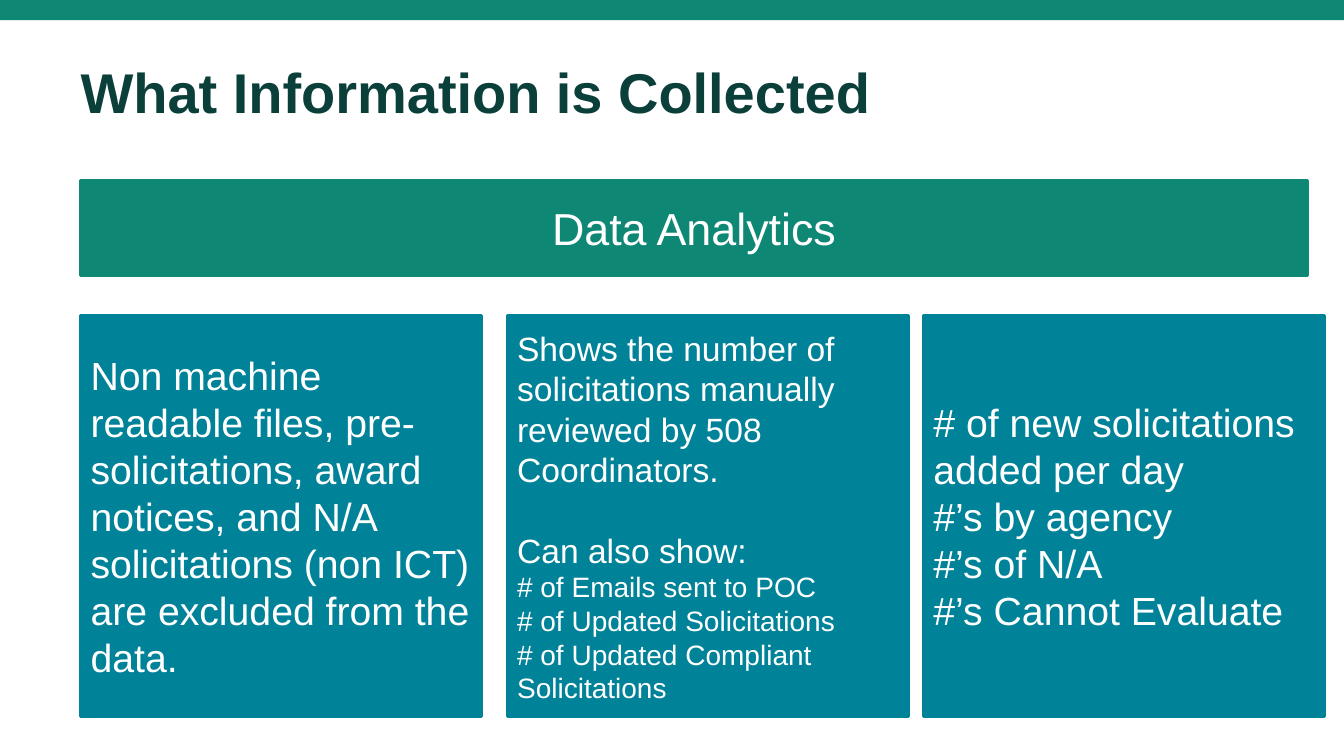
from dataclasses import dataclass

from pptx import Presentation
from pptx.dml.color import RGBColor
from pptx.enum.shapes import MSO_SHAPE
from pptx.enum.text import MSO_ANCHOR, PP_ALIGN
from pptx.util import Inches, Pt


@dataclass(frozen=True)
class Theme:
    font: str = "Arial"
    green: str = "0E8775"
    teal: str = "008299"
    dark: str = "0B3F3A"
    white: str = "FFFFFF"
    title: int = 40
    banner: int = 32
    body: int = 28
    detail: int = 24
    small: int = 20
    outline: int = 2


THEME = Theme()
WIDTH, HEIGHT = 13.33, 7.5
MARGIN = 0.8
CARD_SIDE = 3.98
CARD_LEFTS = (MARGIN, 5.03, 9.16)
SECTION_GAP = 29  # points, one line of detail text

# Each card is a list of (text, size, space before)
CARDS = (
    [("Non machine readable files, pre-solicitations, award notices, and N/A "
      "solicitations (non ICT) are excluded from the data.", THEME.body, 0)],
    [("Shows the number of solicitations manually reviewed by 508 Coordinators.",
      THEME.detail, 0),
     ("Can also show:", THEME.detail, SECTION_GAP),
     ("# of Emails sent to POC", THEME.small, 0),
     ("# of Updated Solicitations", THEME.small, 0),
     ("# of Updated Compliant Solicitations", THEME.small, 0)],
    [("# of new solicitations added per day", THEME.body, 0),
     ("#’s by agency", THEME.body, 0),
     ("#’s of N/A", THEME.body, 0),
     ("#’s Cannot Evaluate", THEME.body, 0)],
)


def apply_format(target, values):
    for name, value in values.items():
        setattr(target, name, value)


def write_lines(frame, lines, color, bold=False, **paragraph_format):
    for index, (text, size, before) in enumerate(lines):
        line = frame.add_paragraph() if index else frame.paragraphs[0]
        apply_format(line, {"space_before": Pt(before), **paragraph_format})
        words = line.add_run()
        words.text = text
        apply_format(words.font, {"name": THEME.font, "size": Pt(size), "bold": bold})
        words.font.color.rgb = RGBColor.from_string(color)


def add_panel(slide, box, color, outlined=True):
    panel = slide.shapes.add_shape(MSO_SHAPE.RECTANGLE, *map(Inches, box))
    panel.shadow.inherit = False
    panel.fill.solid()
    panel.fill.fore_color.rgb = RGBColor.from_string(color)
    if outlined:
        panel.line.color.rgb = RGBColor.from_string(color)
        panel.line.width = Pt(THEME.outline)
    else:
        panel.line.fill.background()
    apply_format(panel.text_frame, {
        "word_wrap": True, "vertical_anchor": MSO_ANCHOR.MIDDLE})
    return panel


def add_heading(slide, box):
    heading = slide.shapes.add_textbox(*map(Inches, box)).text_frame
    apply_format(heading, {
        "word_wrap": True, "margin_left": 0, "margin_right": 0,
        "margin_top": Inches(0.05), "margin_bottom": 0})
    write_lines(heading, [("What Information is Collected", THEME.title, 0)],
                THEME.dark, bold=True, line_spacing=0.9)


def add_banner(slide, box):
    banner = add_panel(slide, box, THEME.green)
    write_lines(banner.text_frame, [("Data Analytics", THEME.banner, 0)],
                THEME.white, alignment=PP_ALIGN.CENTER)


def add_cards(slide, lefts, top, side):
    for left, lines in zip(lefts, CARDS):
        card = add_panel(slide, (left, top, side, side), THEME.teal)
        write_lines(card.text_frame, lines, THEME.white, alignment=PP_ALIGN.LEFT)


def main():
    deck = Presentation()
    apply_format(deck, {"slide_width": Inches(WIDTH), "slide_height": Inches(HEIGHT)})
    slide = deck.slides.add_slide(deck.slide_layouts[6])

    # Top strip and title
    add_panel(slide, (0, 0, WIDTH, 0.2), THEME.green, outlined=False)
    add_heading(slide, (MARGIN, 0.6, WIDTH - 2 * MARGIN, 0.66))

    # Section banner above three square cards
    add_banner(slide, (MARGIN, 1.79, 12.17, 0.94))
    add_cards(slide, CARD_LEFTS, 3.13, CARD_SIDE)

    deck.save("out.pptx")


if __name__ == "__main__":
    main()
